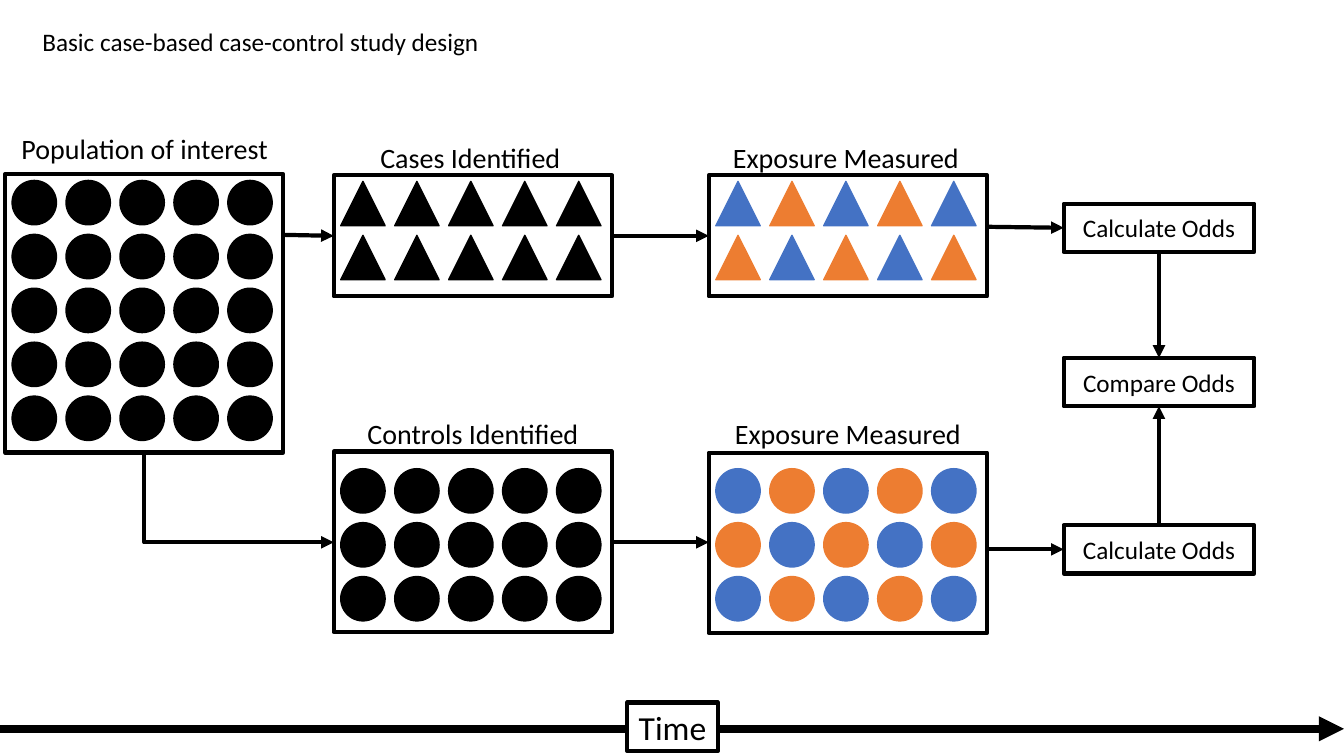
from lxml import etree
from pptx import Presentation
from pptx.dml.color import RGBColor
from pptx.enum.shapes import MSO_CONNECTOR, MSO_SHAPE
from pptx.enum.text import MSO_ANCHOR, MSO_AUTO_SIZE, PP_ALIGN
from pptx.oxml.ns import qn
from pptx.util import Inches, Pt

BLACK = RGBColor(0x00, 0x00, 0x00)
WHITE = RGBColor(0xFF, 0xFF, 0xFF)
BLUE = RGBColor(0x44, 0x72, 0xC4)
ORANGE = RGBColor(0xED, 0x7D, 0x31)

RECTANGLE = MSO_SHAPE.RECTANGLE
CIRCLE = MSO_SHAPE.OVAL
TRIANGLE = MSO_SHAPE.ISOSCELES_TRIANGLE
STRAIGHT = MSO_CONNECTOR.STRAIGHT
ELBOW = MSO_CONNECTOR.ELBOW
LEFT = PP_ALIGN.LEFT
CENTER = PP_ALIGN.CENTER
TOP = MSO_ANCHOR.TOP
MIDDLE = MSO_ANCHOR.MIDDLE
NO_AUTOFIT = MSO_AUTO_SIZE.NONE

COLUMNS = 5
MARKER_SIZE = 0.44
MARKER_STEP = 2.14 / (COLUMNS - 1)
PANEL_WIDTH = 2.76
ODDS_LEFT, ODDS_WIDTH, ODDS_HEIGHT = 10.55, 1.89, 0.48
ODDS_CENTER = ODDS_LEFT + ODDS_WIDTH / 2

ALL_BLACK = (BLACK, BLACK)
EXPOSURE = (BLUE, ORANGE)


class StudyDiagram:
    font_name = "Calibri"
    outline = 3

    def __init__(self, slide):
        self.slide = slide

    def apply(self, target, values):
        for attribute, value in values.items():
            setattr(target, attribute, value)

    def set_text(self, shape, text, size, alignment=CENTER, anchor=MIDDLE, wrap=False):
        frame = shape.text_frame
        frame.text = text
        self.apply(frame, {"word_wrap": wrap, "auto_size": NO_AUTOFIT,
                           "vertical_anchor": anchor})
        paragraph = frame.paragraphs[0]
        paragraph.alignment = alignment
        self.apply(paragraph.font, {"name": self.font_name, "size": Pt(size)})
        paragraph.font.color.rgb = BLACK

    def title(self, text, left, top, width, height):
        heading = self.slide.shapes.title
        self.apply(heading, {"left": Inches(left), "top": Inches(top),
                             "width": Inches(width), "height": Inches(height)})
        self.set_text(heading, text, 18, LEFT, TOP)

    def label(self, text, left, top, width):
        caption = self.slide.shapes.add_textbox(
            Inches(left), Inches(top), Inches(width), Inches(0.44))
        self.set_text(caption, text, 20, anchor=TOP)

    def shape(self, kind, left, top, width, height, fill, line, weight):
        figure = self.slide.shapes.add_shape(
            kind, Inches(left), Inches(top), Inches(width), Inches(height))
        figure.shadow.inherit = False
        if fill is None:
            figure.fill.background()
        else:
            figure.fill.solid()
            figure.fill.fore_color.rgb = fill
        figure.line.color.rgb = line
        figure.line.width = Pt(weight)
        return figure

    def box(self, text, left, top, width, size, fill=None):
        step = self.shape(RECTANGLE, left, top, width, ODDS_HEIGHT,
                          fill, BLACK, self.outline)
        self.set_text(step, text, size, wrap=True)

    def panel(self, left, top, height, kind, rows, first_row, colors):
        self.shape(RECTANGLE, left, top, PANEL_WIDTH, height, None, BLACK, self.outline)
        for row in range(rows):
            for column in range(COLUMNS):
                color = colors[(row + column) % 2]
                self.shape(kind, left + 0.07 + column * MARKER_STEP,
                           first_row + row * MARKER_STEP,
                           MARKER_SIZE, MARKER_SIZE, color, color, 1)

    def arrow(self, x1, y1, x2, y2, weight=outline, kind=STRAIGHT):
        connector = self.slide.shapes.add_connector(
            kind, Inches(x1), Inches(y1), Inches(x2), Inches(y2))
        connector.line.color.rgb = BLACK
        connector.line.width = Pt(weight)
        properties = connector._element.spPr
        etree.SubElement(properties.find(qn("a:ln")), qn("a:tailEnd"), type="triangle")
        etree.SubElement(properties, qn("a:effectLst"))
        return connector

    def corner_arrow(self, x1, y1, x2, y2):
        across, down = x2 - x1, y2 - y1
        middle_x, middle_y = (x1 + x2) / 2, (y1 + y2) / 2
        connector = self.arrow(middle_x + down / 2, middle_y - across / 2,
                               middle_x - down / 2, middle_y + across / 2, kind=ELBOW)
        properties = connector._element.spPr
        properties.find(qn("a:xfrm")).set("rot", str(270 * 60000))
        properties.find(qn("a:prstGeom")).set("prst", "bentConnector2")


def main():
    presentation = Presentation()
    presentation.slide_width = Inches(13.33)
    presentation.slide_height = Inches(7.5)
    diagram = StudyDiagram(presentation.slides.add_slide(presentation.slide_layouts[5]))

    diagram.title("Basic case-based case-control study design", 0.32, 0.21, 4.58, 0.4)

    diagram.arrow(0, 7.23, 13.33, 7.23, weight=6)
    diagram.box("Time", 6.22, 6.97, 0.9, 24, WHITE)

    for panel in (
        (3.31, 1.74, 1.2, TRIANGLE, 2, 1.8, ALL_BLACK),
        (7.03, 1.74, 1.2, TRIANGLE, 2, 1.8, EXPOSURE),
        (7.03, 4.49, 1.79, CIRCLE, 3, 4.65, EXPOSURE),
        (3.31, 4.48, 1.79, CIRCLE, 3, 4.65, ALL_BLACK),
        (0.05, 1.73, 2.76, CIRCLE, 5, 1.79, ALL_BLACK),
    ):
        diagram.panel(*panel)

    for label in (
        ("Population of interest", 0.1, 1.26, 2.67),
        ("Cases Identified", 3.66, 1.34, 2.01),
        ("Exposure Measured", 7.16, 1.34, 2.46),
        ("Controls Identified", 3.53, 4.08, 2.32),
        ("Exposure Measured", 7.18, 4.08, 2.46),
    ):
        diagram.label(*label)

    for text, top in (("Calculate Odds", 2.02), ("Compare Odds", 3.55),
                      ("Calculate Odds", 5.21)):
        diagram.box(text, ODDS_LEFT, top, ODDS_WIDTH, 18)

    for route in (
        (2.81, 2.33, 3.31, 2.34),
        (6.07, 2.34, 7.03, 2.34),
        (6.07, 5.38, 7.03, 5.38),
        (9.8, 2.25, ODDS_LEFT, 2.26),
        (9.8, 5.45, ODDS_LEFT, 5.45),
        (ODDS_CENTER, 2.5, ODDS_CENTER, 3.55),
        (ODDS_CENTER, 5.21, ODDS_CENTER, 4.03),
    ):
        diagram.arrow(*route)
    diagram.corner_arrow(1.43, 4.49, 3.31, 5.38)

    presentation.save("out.pptx")


if __name__ == "__main__":
    main()
